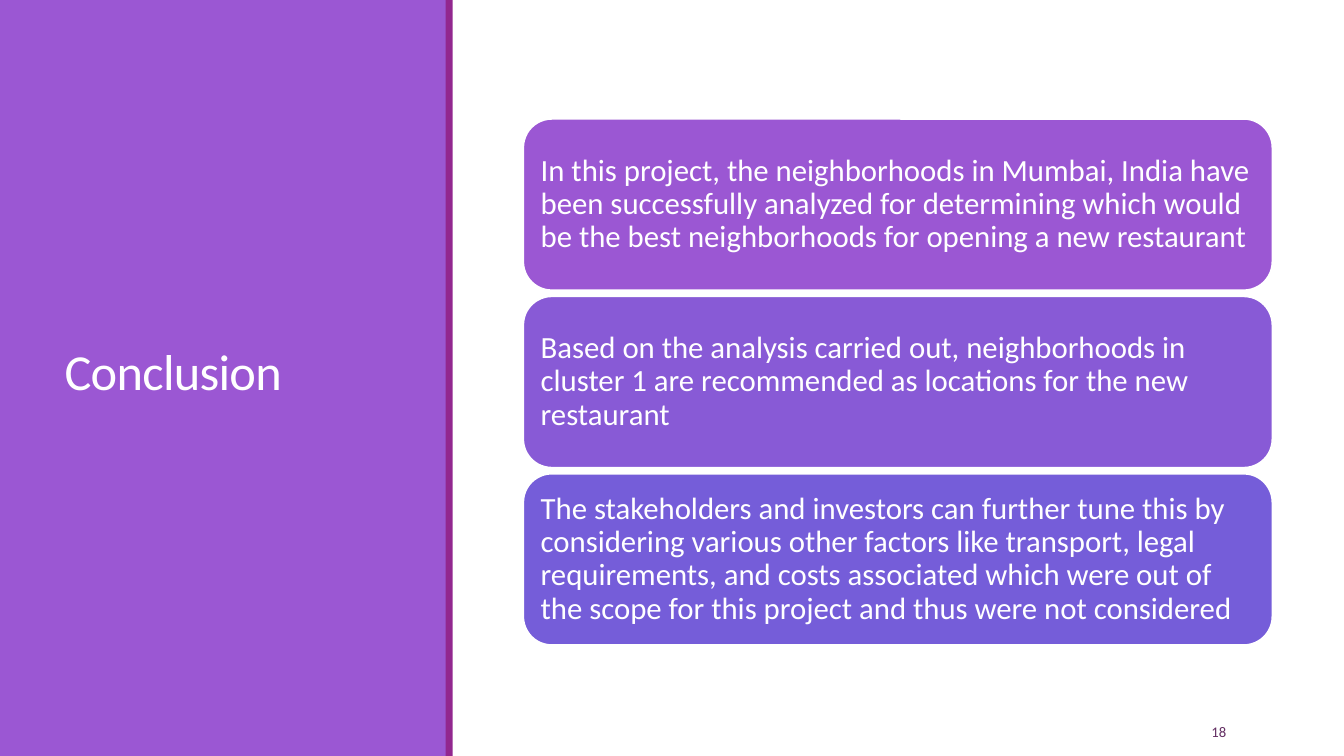
from typing import NamedTuple

from pptx import Presentation
from pptx import util as u
from pptx.dml.color import RGBColor
from pptx.enum import shapes, text
from pptx.shapes.autoshape import Shape
from pptx.slide import Slide
from pptx.text.text import TextFrame

PX = 9144  # EMU per px, 100 px to the inch
FONT = "Calibri"

WHITE = RGBColor(0xFF, 0xFF, 0xFF)
PURPLE = RGBColor(0x9B, 0x57, 0xD3)
MAGENTA = RGBColor(0x92, 0x27, 0x8F)
VIOLET = RGBColor(0x88, 0x5A, 0xD6)
INDIGO = RGBColor(0x75, 0x5D, 0xD9)
PLUM = RGBColor(0x63, 0x2E, 0x62)


class Box(NamedTuple):
    left: int
    top: int
    width: int
    height: int

    def emu(self) -> list[u.Emu]:
        return [u.Emu(side * PX) for side in self]


class Finding(NamedTuple):
    fill: RGBColor
    wording: str


SLIDE = Box(0, 0, 1333, 750)
PANEL = Box(0, 0, 443, 750)
STRIPE = Box(442, 0, 7, 750)
TITLE = Box(54, 57, 337, 631)
PAGE_NUMBER = Box(1107, 706, 119, 40)
FIRST_CARD = Box(519, 118, 743, 170)
CARD_GAP = 6
CARD_INSET = 9

FINDINGS = [
    Finding(PURPLE, "In this project, the neighborhoods in Mumbai, India have been "
                    "successfully analyzed for determining which would be the best "
                    "neighborhoods for opening a new restaurant"),
    Finding(VIOLET, "Based on the analysis carried out, neighborhoods in cluster 1 are "
                    "recommended as locations for the new restaurant"),
    Finding(INDIGO, "The stakeholders and investors can further tune this by considering "
                    "various other factors like transport, legal requirements, and costs "
                    "associated which were out of the scope for this project and thus "
                    "were not considered"),
]


def add_filled(slide: Slide, kind: shapes.MSO_SHAPE, box: Box, fill: RGBColor) -> Shape:
    shape = slide.shapes.add_shape(kind, *box.emu())
    shape.shadow.inherit = False
    shape.fill.solid()
    shape.fill.fore_color.rgb = fill
    shape.line.fill.background()
    return shape


def write(frame: TextFrame, wording: str, size: float, color: RGBColor,
          align: text.PP_ALIGN = text.PP_ALIGN.LEFT, line_spacing: float = 1.0) -> None:
    """Fill a frame with one vertically centred paragraph."""
    frame.word_wrap = True
    frame.auto_size = text.MSO_AUTO_SIZE.NONE
    frame.vertical_anchor = text.MSO_ANCHOR.MIDDLE
    paragraph = frame.paragraphs[0]
    paragraph.alignment = align
    paragraph.line_spacing = line_spacing
    run = paragraph.add_run()
    run.text = wording
    run.font.name = FONT
    run.font.size = u.Pt(size)
    run.font.color.rgb = color


def add_title_panel(slide: Slide) -> None:
    title = slide.shapes.title
    title.left, title.top, title.width, title.height = TITLE.emu()
    write(title.text_frame, "Conclusion", 36, WHITE, line_spacing=0.85)
    heading = title.text_frame.paragraphs[0].runs[0]
    heading.font._element.set("spc", "-50")
    panel = add_filled(slide, shapes.MSO_SHAPE.RECTANGLE, PANEL, PURPLE)
    title.element.addprevious(panel.element)
    add_filled(slide, shapes.MSO_SHAPE.RECTANGLE, STRIPE, MAGENTA)


def add_card(slide: Slide, box: Box, finding: Finding) -> None:
    card = add_filled(slide, shapes.MSO_SHAPE.ROUNDED_RECTANGLE, box, finding.fill)
    card.line.color.rgb = WHITE
    card.line.width = u.Pt(1.25)
    frame = card.text_frame
    inset = u.Emu(CARD_INSET * PX)
    frame.margin_left = frame.margin_right = inset
    frame.margin_top = frame.margin_bottom = inset
    write(frame, finding.wording, 22, WHITE, line_spacing=0.9)


def main() -> None:
    deck = Presentation()
    deck.slide_width, deck.slide_height = SLIDE.emu()[2:]
    title_only = deck.slide_layouts[5]
    slide = deck.slides.add_slide(title_only)
    slide.background.fill.solid()
    slide.background.fill.fore_color.rgb = WHITE

    add_title_panel(slide)
    page_number = slide.shapes.add_textbox(*PAGE_NUMBER.emu())
    write(page_number.text_frame, "18", 10.5, PLUM, text.PP_ALIGN.RIGHT)
    step = FIRST_CARD.height + CARD_GAP
    for row, finding in enumerate(FINDINGS):
        add_card(slide, FIRST_CARD._replace(top=FIRST_CARD.top + row * step), finding)

    deck.save("out.pptx")


if __name__ == "__main__":
    main()
